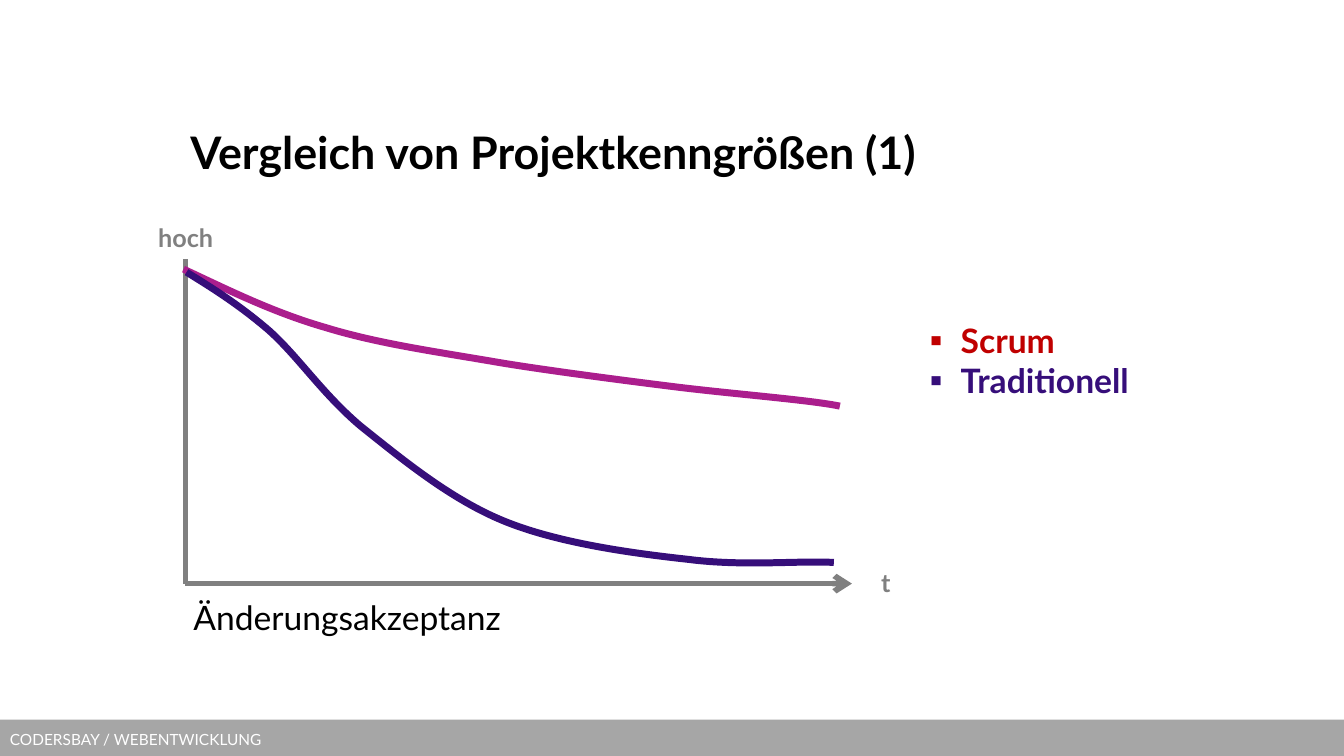
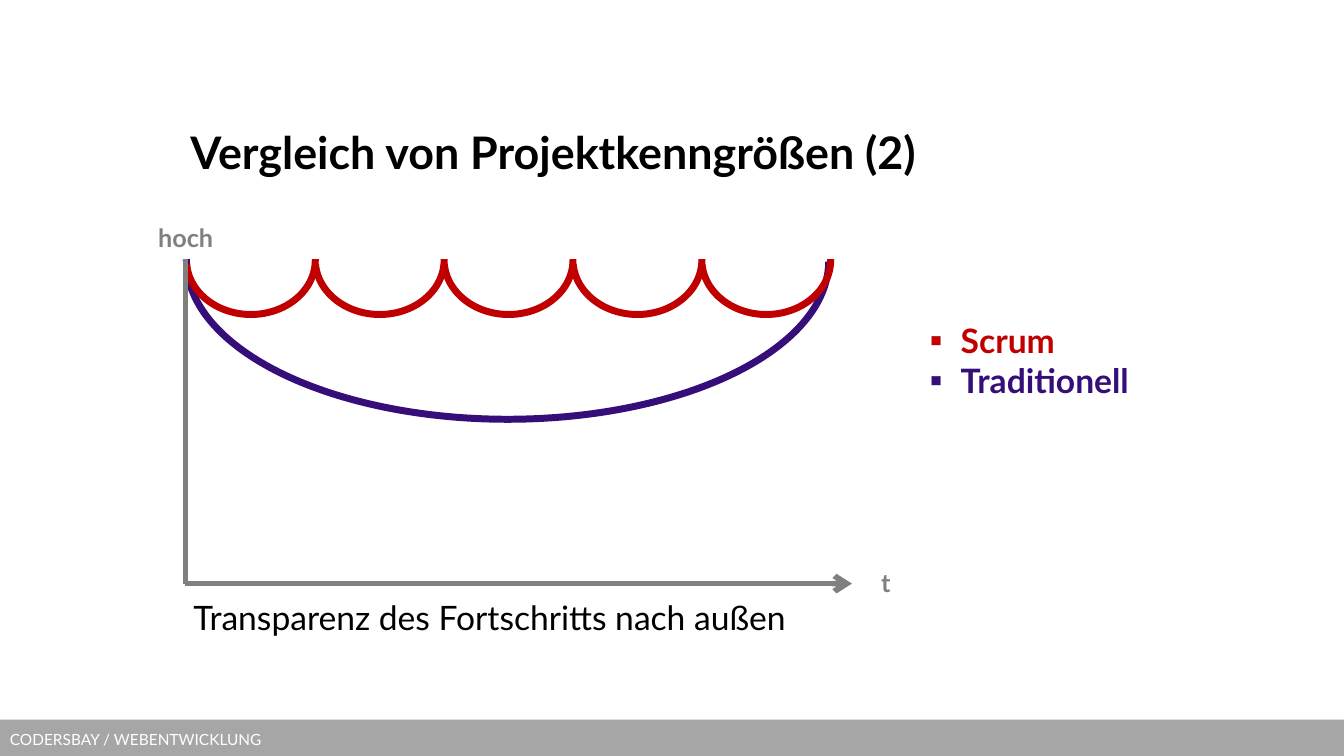
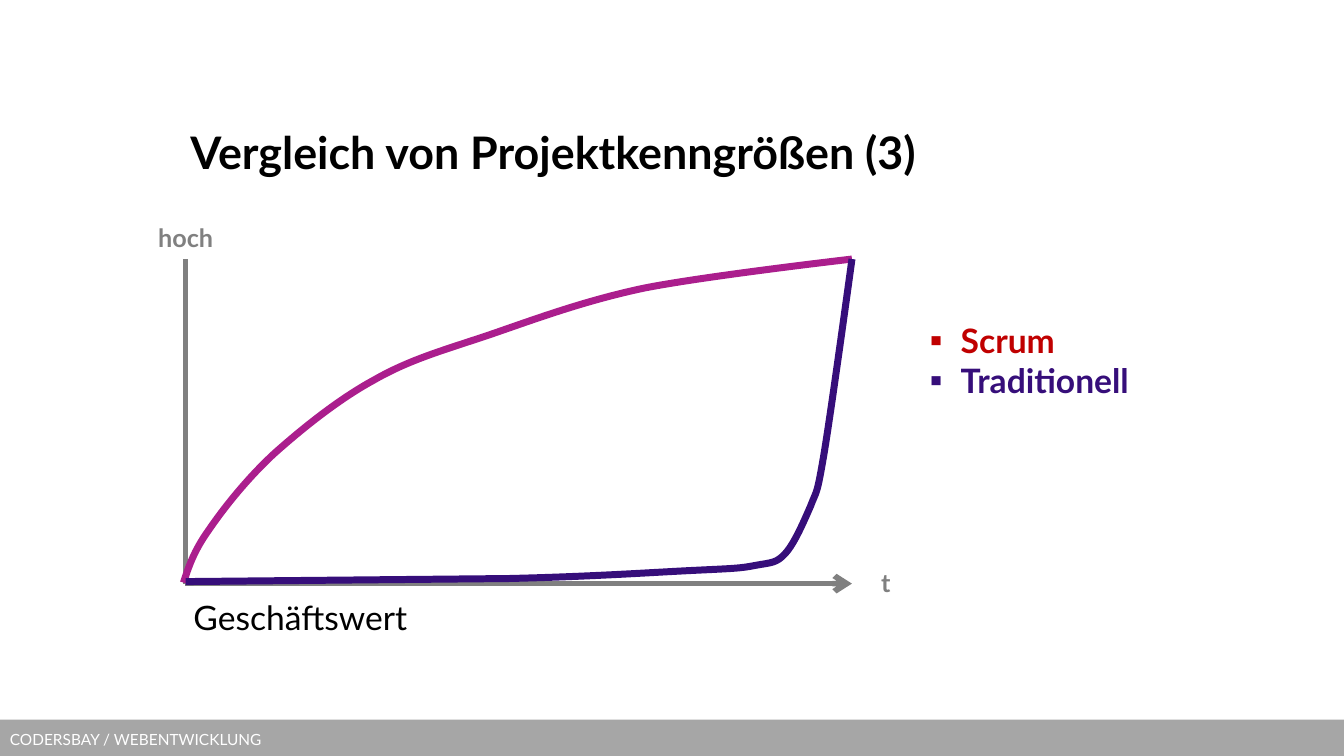
from dataclasses import dataclass, field
from typing import NamedTuple

import pptx
import pptx.dml.color
import pptx.enum.shapes
import pptx.enum.text
import pptx.oxml
import pptx.oxml.ns
import pptx.util

Inches = pptx.util.Inches
Pt = pptx.util.Pt
RGB = pptx.dml.color.RGBColor.from_string
Anchor = pptx.enum.text.MSO_ANCHOR
AutoSize = pptx.enum.text.MSO_AUTO_SIZE
ShapeType = pptx.enum.shapes.MSO_SHAPE
NS = pptx.oxml.ns.nsdecls("a")


# Shared look: colours, type sizes (pt), line widths (pt)
@dataclass(frozen=True)
class Theme:
    font: str = "Lato"
    black: str = "000000"
    white: str = "FFFFFF"
    band: str = "A6A6A6"
    axis: str = "808080"
    scrum: str = "C00000"
    scrum_curve: str = "AB1E8D"
    traditional: str = "360E7A"
    title_size: int = 32
    body_size: int = 24
    label_size: int = 18
    footer_size: int = 11
    axis_width: int = 4
    curve_width: int = 5


THEME = Theme()


# Lengths in inches
class Box(NamedTuple):
    left: float
    top: float
    width: float
    height: float

    def emu(self) -> list:
        return [Inches(v) for v in self]


class Line(NamedTuple):
    text: str
    size: int
    color: str
    bold: bool = False
    bullet: str = ""


@dataclass(frozen=True)
class Curve:
    """Pieces list their end point, after two control points if curved."""
    color: str
    start: tuple
    pieces: list


@dataclass(frozen=True)
class Arc:
    color: str
    box: Box
    angles: tuple


@dataclass(frozen=True)
class Comparison:
    caption: str
    caption_width: float = 5.09
    curves: list = field(default_factory=list)
    arcs: list = field(default_factory=list)
    axes_on_top: bool = False


# Chart geometry
AXIS_LEFT, AXIS_TOP, AXIS_RIGHT, AXIS_BOTTOM = 1.84, 2.57, 8.45, 5.79
BULLET_INDENT = 0.31
SPRINTS = 5
SPRINT_LEFT = 1.85
SPRINT_WIDTH = 6.39 / SPRINTS

COMPARISONS = [
    Comparison("Änderungsakzeptanz", curves=[
        Curve(THEME.scrum_curve, (1.82, 2.67), [
            [(2.27, 2.88), (2.71, 3.1), (3.23, 3.25)],
            [(3.75, 3.41), (4.33, 3.49), (4.91, 3.59)],
            [(5.49, 3.69), (6.71, 3.84), (6.71, 3.84)],
            [(7.28, 3.91), (8.05, 3.97), (8.33, 4.03)],
        ]),
        Curve(THEME.traditional, (1.85, 2.7), [
            [(2.11, 2.86), (2.38, 3.03), (2.67, 3.28)],
            [(2.96, 3.54), (3.2, 3.91), (3.58, 4.23)],
            [(3.97, 4.54), (4.46, 4.95), (5, 5.17)],
            [(5.54, 5.39), (6.28, 5.49), (6.83, 5.55)],
            [(7.37, 5.62), (7.93, 5.56), (8.27, 5.58)],
        ]),
    ]),
    Comparison("Transparenz des Fortschritts nach außen", 6.64, arcs=[
        Arc(THEME.traditional, Box(1.85, 1.02, 6.37, 3.14), (0.08, 108.2)),
        *(Arc(THEME.scrum,
              Box(SPRINT_LEFT + i * SPRINT_WIDTH, 2.04, SPRINT_WIDTH, 1.08),
              (215.55, 105.92))
          for i in range(SPRINTS)),
    ], axes_on_top=True),
    Comparison("Geschäftswert", curves=[
        Curve(THEME.scrum_curve, (1.82, 5.78), [
            [(1.87, 5.63), (1.92, 5.47), (2.07, 5.26)],
            [(2.22, 5.04), (2.45, 4.75), (2.72, 4.5)],
            [(3, 4.25), (3.36, 3.96), (3.71, 3.77)],
            [(4.06, 3.57), (4.38, 3.48), (4.83, 3.33)],
            [(5.27, 3.18), (5.77, 2.99), (6.38, 2.86)],
            [(6.98, 2.74), (8.45, 2.57), (8.45, 2.57)],
        ]),
        Curve(THEME.traditional, (1.84, 5.77), [
            [(5.04, 5.74)],
            [(5.88, 5.72), (6.45, 5.68), (6.86, 5.66)],
            [(7.27, 5.64), (7.34, 5.64), (7.49, 5.61)],
            [(7.65, 5.58), (7.7, 5.59), (7.79, 5.49)],
            [(7.88, 5.39), (7.97, 5.18), (8.04, 5.02)],
            [(8.1, 4.86), (8.1, 4.93), (8.17, 4.52)],
            [(8.24, 4.11), (8.45, 2.57), (8.45, 2.57)],
        ]),
    ]),
]


# Text
def add_bullet(p, char: str) -> None:
    pPr = p._p.get_or_add_pPr()
    pPr.set("marL", str(Inches(BULLET_INDENT)))
    pPr.set("indent", str(-Inches(BULLET_INDENT)))
    for tag, name, value in (("buFont", "typeface", THEME.font),
                             ("buChar", "char", char)):
        pPr.append(pptx.oxml.parse_xml(f'<a:{tag} {NS} {name}="{value}"/>'))


def write_lines(tf, lines: list, **frame) -> None:
    for name, value in {"word_wrap": True, **frame}.items():
        setattr(tf, name, value)
    for i, line in enumerate(lines):
        p = tf.add_paragraph() if i else tf.paragraphs[0]
        p.alignment = pptx.enum.text.PP_ALIGN.LEFT
        if line.bullet:
            add_bullet(p, line.bullet)
        r = p.add_run()
        r.text = line.text
        style = {"name": THEME.font, "size": Pt(line.size), "bold": line.bold}
        for name, value in style.items():
            setattr(r.font, name, value)
        r.font.color.rgb = RGB(line.color)


def add_text(s, box: Box, *lines: Line, **frame) -> None:
    frame = frame or {"auto_size": AutoSize.SHAPE_TO_FIT_TEXT}
    write_lines(s.shapes.add_textbox(*box.emu()).text_frame, lines, **frame)


# Lines and curves
def outline(sp, color: str, width: int) -> None:
    sp.line.color.rgb = RGB(color)
    sp.line.width = Pt(width)


def stroke_only(sp, color: str) -> None:
    sp.shadow.inherit = False
    sp.fill.background()
    outline(sp, color, THEME.curve_width)


def bend(sp, pieces: list) -> None:
    """Turn the straight steps of a freeform into cubic pieces."""
    steps = list(sp._element.iter(pptx.oxml.ns.qn("a:lnTo")))
    for step, piece in zip(steps, pieces):
        if len(piece) == 3:
            pts = "".join(
                f'<a:pt x="{Inches(x) - sp.left}" y="{Inches(y) - sp.top}"/>'
                for x, y in piece)
            step.getparent().replace(step, pptx.oxml.parse_xml(
                f"<a:cubicBezTo {NS}>{pts}</a:cubicBezTo>"))


def add_curve(s, curve: Curve) -> None:
    builder = s.shapes.build_freeform(*(Inches(v) for v in curve.start))
    builder.add_line_segments(
        [tuple(Inches(v) for v in piece[-1]) for piece in curve.pieces],
        close=False)
    sp = builder.convert_to_shape()
    bend(sp, curve.pieces)
    stroke_only(sp, curve.color)


def add_arc(s, arc: Arc) -> None:
    sp = s.shapes.add_shape(ShapeType.ARC, *arc.box.emu())
    for i, angle in enumerate(arc.angles):
        sp.adjustments[i] = angle
    stroke_only(sp, arc.color)


def add_axes(s) -> None:
    group = s.shapes.add_group_shape()
    origin = (AXIS_LEFT, AXIS_BOTTOM)
    top, right = (AXIS_LEFT, AXIS_TOP), (AXIS_RIGHT, AXIS_BOTTOM)
    for start, end, arrow in ((top, origin, False), (right, origin, True)):
        cn = group.shapes.add_connector(
            pptx.enum.shapes.MSO_CONNECTOR.STRAIGHT,
            *(Inches(v) for v in start + end))
        outline(cn, THEME.axis, THEME.axis_width)
        if arrow:
            cn.line._get_or_add_ln().append(
                pptx.oxml.parse_xml(f'<a:headEnd {NS} type="arrow"/>'))
        cn._element.spPr.append(pptx.oxml.parse_xml(f"<a:effectLst {NS}/>"))


# Footer band, kept once on the slide master
def add_footer(prs, s) -> None:
    sp = s.shapes.add_shape(ShapeType.RECTANGLE, *Box(0, 7.14, 13.33, 0.39).emu())
    sp.shadow.inherit = False
    sp.fill.solid()
    sp.fill.fore_color.rgb = RGB(THEME.band)
    sp.line.fill.background()
    write_lines(sp.text_frame,
                [Line("CODERSBAY / WEBENTWICKLUNG", THEME.footer_size, THEME.white)],
                vertical_anchor=Anchor.MIDDLE)
    prs.slide_master.shapes._spTree.append(sp._element)


# Title, caption, legend and axis labels
def add_labels(s, number: int, item: Comparison) -> None:
    add_text(s, Box(1.79, 0.75, 9.75, 1.5),
             Line(f"Vergleich von Projektkenngrößen ({number})",
                  THEME.title_size, THEME.black, True),
             vertical_anchor=Anchor.MIDDLE)
    add_text(s, Box(1.82, 5.87, item.caption_width, 0.5),
             Line(item.caption, THEME.body_size, THEME.black))
    add_text(s, Box(9.12, 3.12, 2.36, 0.91),
             *(Line(name, THEME.body_size, color, True, "▪")
               for name, color in (("Scrum", THEME.scrum),
                                   ("Traditionell", THEME.traditional))))
    for name, box in (("t", Box(8.64, 5.58, 0.26, 0.4)),
                      ("hoch", Box(1.47, 2.16, 0.94, 0.4))):
        add_text(s, box, Line(name, THEME.label_size, THEME.axis, True))


def add_comparison(prs, number: int, item: Comparison) -> None:
    s = prs.slides.add_slide(prs.slide_layouts[6])
    if number == 1:
        add_footer(prs, s)
    if not item.axes_on_top:
        add_axes(s)
    for curve in item.curves:
        add_curve(s, curve)
    for arc in item.arcs:
        add_arc(s, arc)
    if item.axes_on_top:
        add_axes(s)
    add_labels(s, number, item)


def main() -> None:
    prs = pptx.Presentation()
    prs.slide_width, prs.slide_height = Inches(13.33), Inches(7.5)
    for number, item in enumerate(COMPARISONS, start=1):
        add_comparison(prs, number, item)
    prs.save("out.pptx")


if __name__ == "__main__":
    main()
